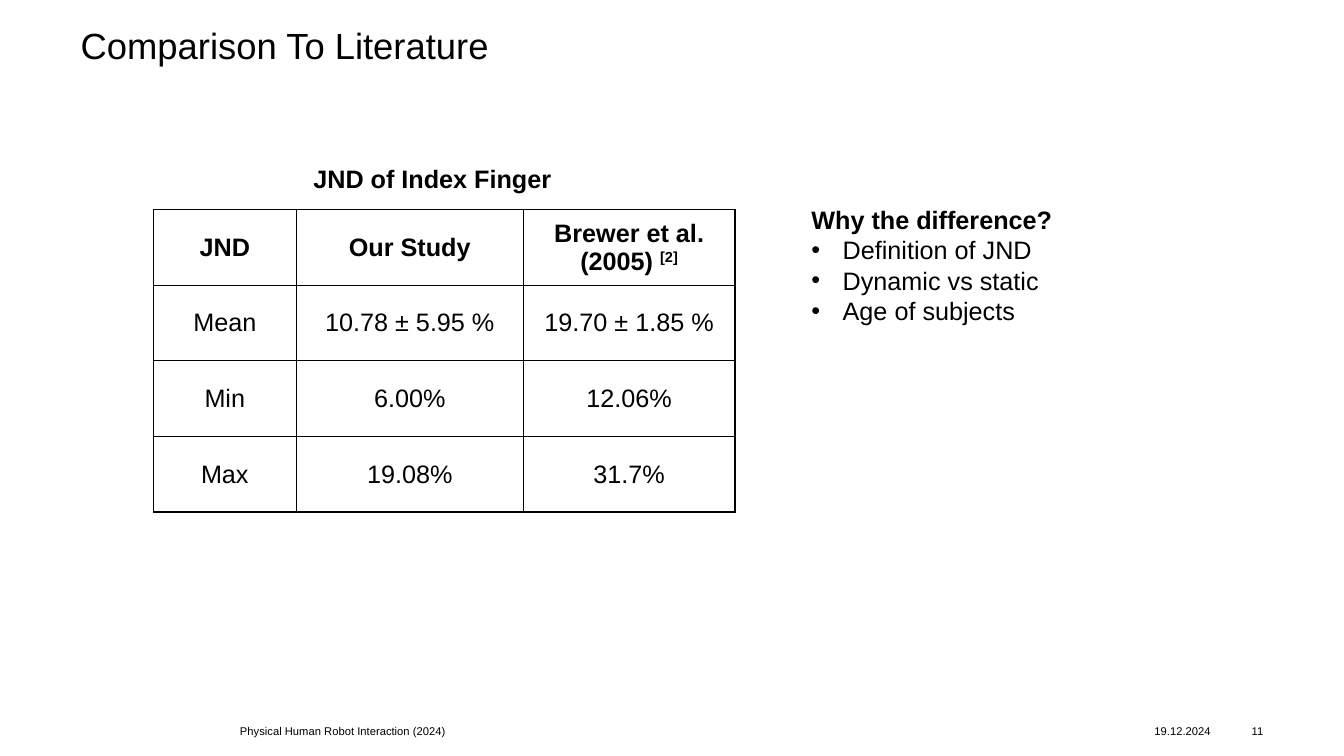
from lxml.etree import SubElement
from pptx import Presentation
from pptx.dml.color import RGBColor
from pptx.enum.text import MSO_ANCHOR, PP_ALIGN
from pptx.oxml.ns import qn
from pptx.util import Inches, Pt

COLORS = {"text": "000000", "border": "000000", "background": "FFFFFF"}
MARGINS = ("margin_left", "margin_top", "margin_right", "margin_bottom")


class SlideBuilder:
    """Holds the style and the current slide."""

    font_name = "Arial"
    body_size = 18
    bullet_indent = Inches(0.31)

    def __init__(self, presentation):
        self.slide = presentation.slides.add_slide(presentation.slide_layouts[6])
        fill = self.slide.background.fill
        fill.solid()
        fill.fore_color.rgb = RGBColor.from_string(COLORS["background"])

    def run(self, paragraph, text, size=body_size, bold=False, baseline=None):
        run = paragraph.add_run()
        run.text = text
        values = {"name": self.font_name, "size": Pt(size), "bold": bold}
        for name, value in values.items():
            setattr(run.font, name, value)
        run.font.color.rgb = RGBColor.from_string(COLORS["text"])
        if baseline:
            run.font._element.set("baseline", str(baseline * 1000))

    def bullet(self, paragraph):
        properties = paragraph._p.get_or_add_pPr()
        properties.set("marL", str(self.bullet_indent))
        properties.set("indent", str(-self.bullet_indent))
        SubElement(properties, qn("a:buFont"), typeface=self.font_name)
        SubElement(properties, qn("a:buChar"), char="•")

    def text(self, box, lines, size=body_size, bold=False, inset=True,
             bullets=False, **paragraph_format):
        """Add a text box; with bullets, every line after the first has one."""
        shape = self.slide.shapes.add_textbox(*map(Inches, box))
        frame = shape.text_frame
        frame.word_wrap = True
        if not inset:
            for margin in MARGINS:
                setattr(frame, margin, 0)
        for index, line in enumerate(lines):
            paragraph = frame.add_paragraph() if index else frame.paragraphs[0]
            for name, value in paragraph_format.items():
                setattr(paragraph, name, value)
            if bullets and index:
                self.bullet(paragraph)
            self.run(paragraph, line, size, bold and not index)
        return frame

    def footer(self, left, width, text, alignment=PP_ALIGN.LEFT):
        frame = self.text((left, 7.13, width, 0.24), [text], size=8,
                          inset=False, alignment=alignment)
        frame.vertical_anchor = MSO_ANCHOR.MIDDLE

    def borders(self, cell):
        properties = cell._tc.get_or_add_tcPr()
        for side in ("lnL", "lnR", "lnT", "lnB"):
            line = SubElement(properties, qn(f"a:{side}"), w=str(Pt(1)))
            fill = SubElement(line, qn("a:solidFill"))
            SubElement(fill, qn("a:srgbClr"), val=COLORS["border"])

    def table(self, left, top, widths, row_height, rows):
        """Add a grid; each cell is a list of (text, baseline) parts."""
        table = self.slide.shapes.add_table(
            len(rows), len(widths), Inches(left), Inches(top),
            Inches(sum(widths)), Inches(row_height * len(rows))).table
        table.first_row = table.horz_banding = False
        for column, width in zip(table.columns, widths):
            column.width = Inches(width)
        for row_index, row in enumerate(rows):
            for column_index, parts in enumerate(row):
                cell = table.cell(row_index, column_index)
                cell.vertical_anchor = MSO_ANCHOR.MIDDLE
                self.borders(cell)
                cell.fill.background()
                paragraph = cell.text_frame.paragraphs[0]
                paragraph.alignment = PP_ALIGN.CENTER
                for text, baseline in parts:
                    self.run(paragraph, text, bold=row_index == 0, baseline=baseline)


def main():
    presentation = Presentation()
    presentation.slide_width = Inches(13.33)
    presentation.slide_height = Inches(7.5)
    builder = SlideBuilder(presentation)

    # Title
    builder.text((0.8, 0.28, 11.73, 0.98), ["Comparison To Literature"],
                 size=26, inset=False, line_spacing=0.9)

    # Footer
    builder.footer(11.45, 0.67, "19.12.2024")
    builder.footer(2.38, 5.91, "Physical Human Robot Interaction (2024)")
    builder.footer(12.18, 0.35, "11", PP_ALIGN.RIGHT)

    # Comparison table
    header = [[("JND", None)], [("Our Study", None)],
              [("Brewer et al. (2005) ", None), ("[2]", 30)]]
    results = [
        ("Mean", "10.78 ± 5.95 %", "19.70 ± 1.85 %"),
        ("Min", "6.00%", "12.06%"),
        ("Max", "19.08%", "31.7%"),
    ]
    body = [[[(text, None)] for text in row] for row in results]
    builder.table(1.52, 2.08, (1.42, 2.25, 2.1), 0.75, [header] + body)
    builder.text((3.01, 1.57, 4.84, 0.4), ["JND of Index Finger"], bold=True)

    # Reasons
    reasons = ["Why the difference?", "Definition of JND",
               "Dynamic vs static", "Age of subjects"]
    builder.text((7.95, 1.98, 4.84, 1.62), reasons, bold=True, bullets=True)

    presentation.save("out.pptx")


if __name__ == "__main__":
    main()
